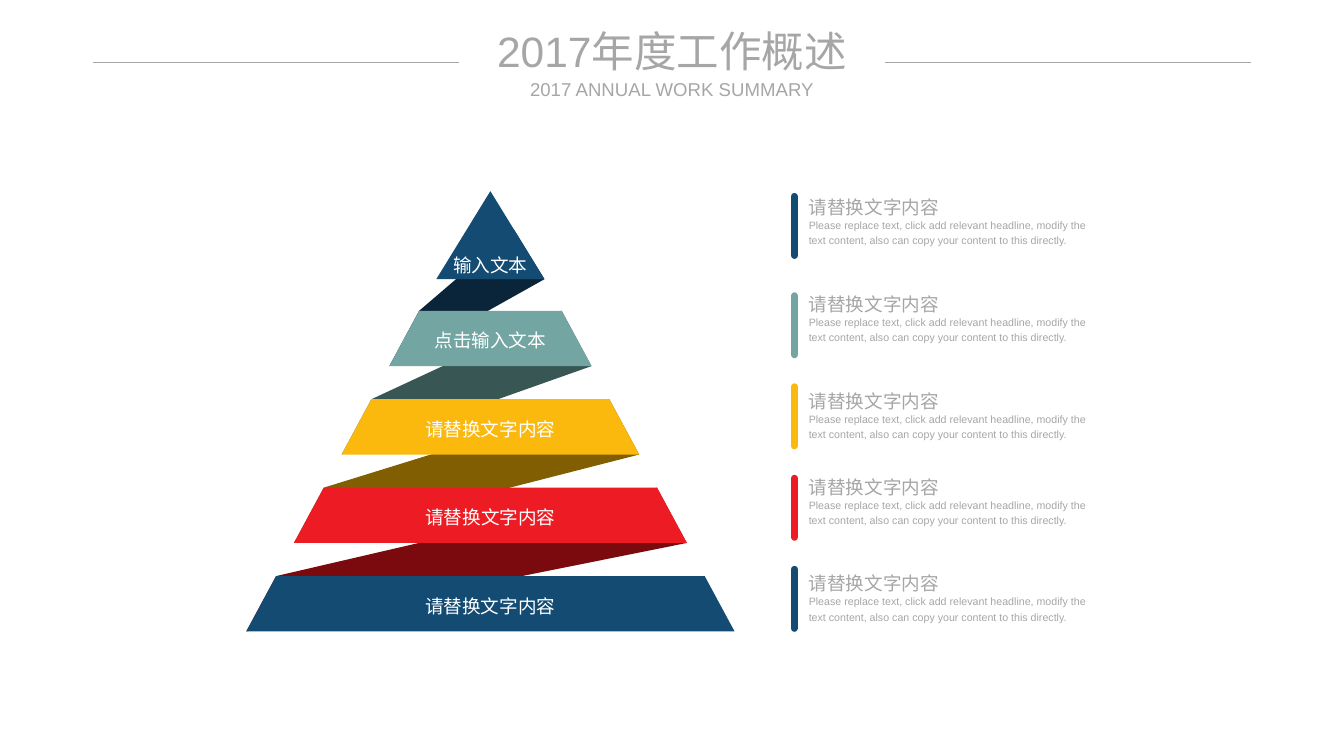
from lxml import etree
from pptx import Presentation
from pptx.dml.color import RGBColor
from pptx.enum import shapes, text
from pptx.oxml.ns import qn
from pptx.util import Cm, Pt

WHITE = RGBColor(0xFF, 0xFF, 0xFF)
GREY = RGBColor(0xA6, 0xA6, 0xA6)
NAVY = RGBColor(0x13, 0x4B, 0x73)
TEAL = RGBColor(0x73, 0xA6, 0xA3)
AMBER = RGBColor(0xFB, 0xB8, 0x0D)
RED = RGBColor(0xED, 0x1C, 0x24)
DARK_NAVY = RGBColor(0x0A, 0x25, 0x39)
DARK_TEAL = RGBColor(0x37, 0x56, 0x54)
DARK_AMBER = RGBColor(0x82, 0x5E, 0x02)
DARK_RED = RGBColor(0x7B, 0x0A, 0x0E)

SLIDE_W, SLIDE_H = 35.71, 20.09
HEADING = "请替换文字内容"
DETAIL = ("Please replace text, click add relevant headline, modify the text "
          "content, also can copy your content to this directly.")

# Top, bottom and label top (cm below the tip), label, colour
TIERS = [(0, 2.34, 1.3, "输入文本", NAVY)] + [
    (3.18 + 2.35 * i, 4.65 + 2.35 * i, 3.31 + 2.35 * i, label, color)
    for i, (label, color) in enumerate([
        ("点击输入文本", TEAL), (HEADING, AMBER), (HEADING, RED), (HEADING, NAVY)])]
RIBBONS = [DARK_NAVY, DARK_TEAL, DARK_AMBER, DARK_RED]

# Bar top and text top (cm below the list's top), colour
ENTRIES = [(0.05, 0, NAVY), (2.69, 2.59, TEAL), (5.11, 5.16, AMBER),
           (7.54, 7.44, RED), (9.96, 10.01, NAVY)]


def add_text(slide, words, left, top, width, height, size=14, color=GREY,
             align=text.PP_ALIGN.LEFT, anchor=text.MSO_ANCHOR.TOP,
             spacing=None, wrap=True):
    box = slide.shapes.add_textbox(Cm(left), Cm(top), Cm(width), Cm(height))
    frame = box.text_frame
    frame.margin_left = frame.margin_right = 0
    frame.margin_top = frame.margin_bottom = 0
    frame.word_wrap = wrap
    frame.vertical_anchor = anchor
    paragraph = frame.paragraphs[0]
    paragraph.alignment = align
    paragraph.line_spacing = spacing
    run = paragraph.add_run()
    run.text = words
    run.font.name = "Arial"
    run.font.size = Pt(size)
    run.font.color.rgb = color


def paint(shape, color):
    shape.shadow.inherit = False
    shape.fill.solid()
    shape.fill.fore_color.rgb = color
    shape.line.fill.background()


def add_polygon(slide, corners, color):
    first, *rest = [(Cm(x), Cm(y)) for x, y in corners]
    outline = slide.shapes.build_freeform(*first)
    outline.add_line_segments(rest, close=True)
    paint(outline.convert_to_shape(), color)


def add_header(slide, left, top, width):
    centred = dict(align=text.PP_ALIGN.CENTER, anchor=text.MSO_ANCHOR.MIDDLE)
    middle = left + width / 2
    add_text(slide, "2017年度工作概述", middle - 5.49, top, 10.98, 1.37,
             size=32, **centred)
    add_text(slide, "2017 ANNUAL WORK SUMMARY", middle - 3.9, top + 1.4,
             7.8, 0.61, **centred)
    # Rules on both sides of the title
    rule_y, rule_w = Cm(top + 0.99), 9.73
    for start in (left, left + width - rule_w):
        rule = slide.shapes.add_connector(
            shapes.MSO_CONNECTOR.STRAIGHT, Cm(start), rule_y,
            Cm(start + rule_w), rule_y)
        rule.line.color.rgb = GREY
        rule.line.width = Pt(0.5)
        etree.SubElement(rule._element.spPr, qn("a:effectLst"))


def half_width(depth):
    """Half the pyramid's width at a depth below its tip."""
    return min(0.614 * depth, 0.18 + 0.539 * depth)


def add_pyramid(slide, axis, tip):
    def edge(depth, side):
        return axis + side * half_width(depth), tip + depth

    # Folded ribbons behind the tiers
    for upper, lower, color in zip(TIERS, TIERS[1:], RIBBONS):
        fold_top = upper[0] or 1.02
        add_polygon(slide, [edge(fold_top, 1), edge(lower[0], -1),
                            edge(lower[1], -1), edge(upper[1], 1)], color)
    # Tiers and their labels
    for top, bottom, label_top, label, color in TIERS:
        corners = [edge(top, -1), edge(bottom, -1), edge(bottom, 1)]
        if top:
            corners.append(edge(top, 1))
        add_polygon(slide, corners, color)
        half = half_width(max(top, 2.34))
        add_text(slide, label, axis - half, tip + label_top, 2 * half, 1.19,
                 color=WHITE, align=text.PP_ALIGN.CENTER,
                 anchor=text.MSO_ANCHOR.MIDDLE, spacing=1.2)


def add_entries(slide, left, top):
    for bar_top, text_top, color in ENTRIES:
        bar = slide.shapes.add_shape(
            shapes.MSO_SHAPE.ROUND_2_SAME_RECTANGLE,
            Cm(left), Cm(top + bar_top), Cm(0.18), Cm(1.75))
        bar.adjustments[0] = bar.adjustments[1] = 0.5
        paint(bar, color)
        text_left, heading_top = left + 0.47, top + text_top
        add_text(slide, DETAIL, text_left, heading_top + 0.66, 7.49, 0.79,
                 size=8, spacing=1.2)
        add_text(slide, HEADING, text_left, heading_top, 3.48, 0.71,
                 spacing=1.2, wrap=False)


def main():
    deck = Presentation()
    deck.slide_width, deck.slide_height = Cm(SLIDE_W), Cm(SLIDE_H)
    slide = deck.slides.add_slide(deck.slide_layouts[6])
    add_pyramid(slide, axis=13.03, tip=5.08)
    add_entries(slide, left=21.02, top=5.08)
    add_header(slide, left=2.46, top=0.66, width=30.79)
    deck.save("out.pptx")


if __name__ == "__main__":
    main()
